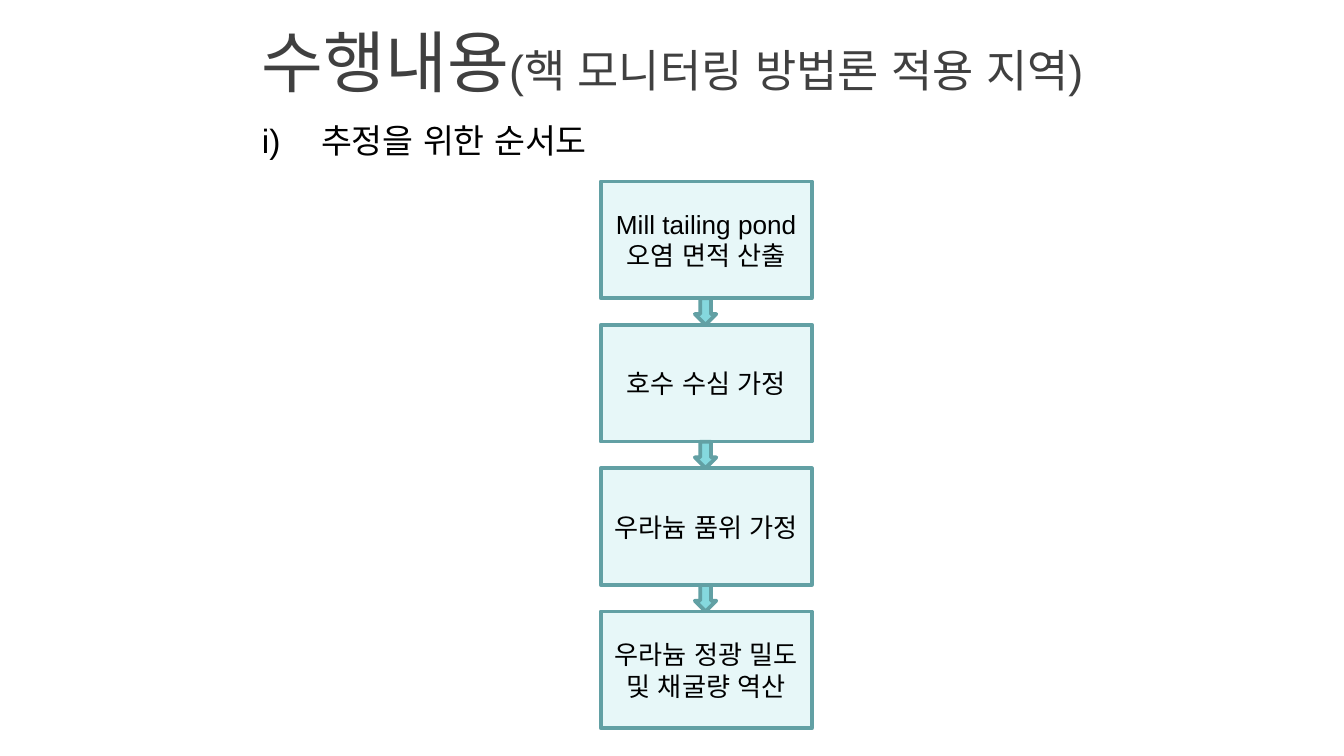
"""Build a slide with a four-step flow chart of the estimation method."""
from lxml import etree
from pptx import Presentation
from pptx.dml.color import RGBColor
from pptx.enum.shapes import MSO_SHAPE
from pptx.enum.text import MSO_ANCHOR, PP_ALIGN
from pptx.oxml.ns import qn
from pptx.util import Inches, Pt

RECT, DOWN = MSO_SHAPE.RECTANGLE, MSO_SHAPE.DOWN_ARROW
MIDDLE, CENTER = MSO_ANCHOR.MIDDLE, PP_ALIGN.CENTER
COLORS = {"title": "404040", "text": "000000", "box": "E7F7F8",
          "arrow": "85D8DE", "line": "62A0A4"}
STEPS = ["Mill tailing pond 오염 면적 산출", "호수 수심 가정",
         "우라늄 품위 가정", "우라늄 정광 밀도 및 채굴량 역산"]
LEFT, TOP, LAST, WIDE, HIGH = 4.47, 1.35, 4.55, 1.57, 0.87
STEP = (LAST - TOP) / (len(STEPS) - 1)
GAP, THIN = STEP - HIGH, 0.16


def write(para, text, size, color):
    run = para.add_run()
    run.text = text
    style = {"name": "Arial", "size": Pt(size)}
    for key, value in style.items():
        setattr(run.font, key, value)
    run.font.color.rgb = RGBColor.from_string(COLORS[color])
    etree.SubElement(run._r.get_or_add_rPr(), qn("a:ea"), typeface="Arial")


def draw(kind, x, y, w, h, fill):
    shape = slide.shapes.add_shape(kind, *map(Inches, (x, y, w, h)))
    shape.shadow.inherit = False
    shape.fill.solid()
    shape.fill.fore_color.rgb = RGBColor.from_string(COLORS[fill])
    shape.line.color.rgb = RGBColor.from_string(COLORS["line"])
    shape.line.width = Pt(2)
    return shape


deck = Presentation()
deck.slide_width = Inches(10)
deck.slide_height = deck.slide_width * 9 // 16
slide = deck.slides.add_slide(deck.slide_layouts[6])

title = slide.shapes.add_textbox(*map(Inches, (1.85, 0.14, 8.15, 0.63)))
frame = title.text_frame
frame.word_wrap, frame.vertical_anchor = True, MIDDLE
for text, size in [("수행내용", 36), ("(핵 모니터링 방법론 적용 지역)", 24)]:
    write(frame.paragraphs[0], text, size, "title")

head = slide.shapes.add_textbox(*map(Inches, (1.85, 0.84, 5.25, 0.4)))
head.text_frame.word_wrap = True
para = head.text_frame.paragraphs[0]
props = para._p.get_or_add_pPr()
for key, value in {"marL": 0.44, "indent": -0.44}.items():
    props.set(key, str(Inches(value)))
etree.SubElement(props, qn("a:buAutoNum"), type="romanLcParenR")
write(para, "추정을 위한 순서도", 18, "text")

for row, text in enumerate(STEPS):
    box = draw(RECT, LEFT, TOP + row * STEP, WIDE, HIGH, "box")
    frame = box.text_frame
    frame.word_wrap, frame.vertical_anchor = True, MIDDLE
    frame.paragraphs[0].alignment = CENTER
    write(frame.paragraphs[0], text, 14, "text")

for row in range(len(STEPS) - 1):
    draw(DOWN, 5.17, TOP + HIGH + row * STEP, THIN, GAP, "arrow")

deck.save("out.pptx")
